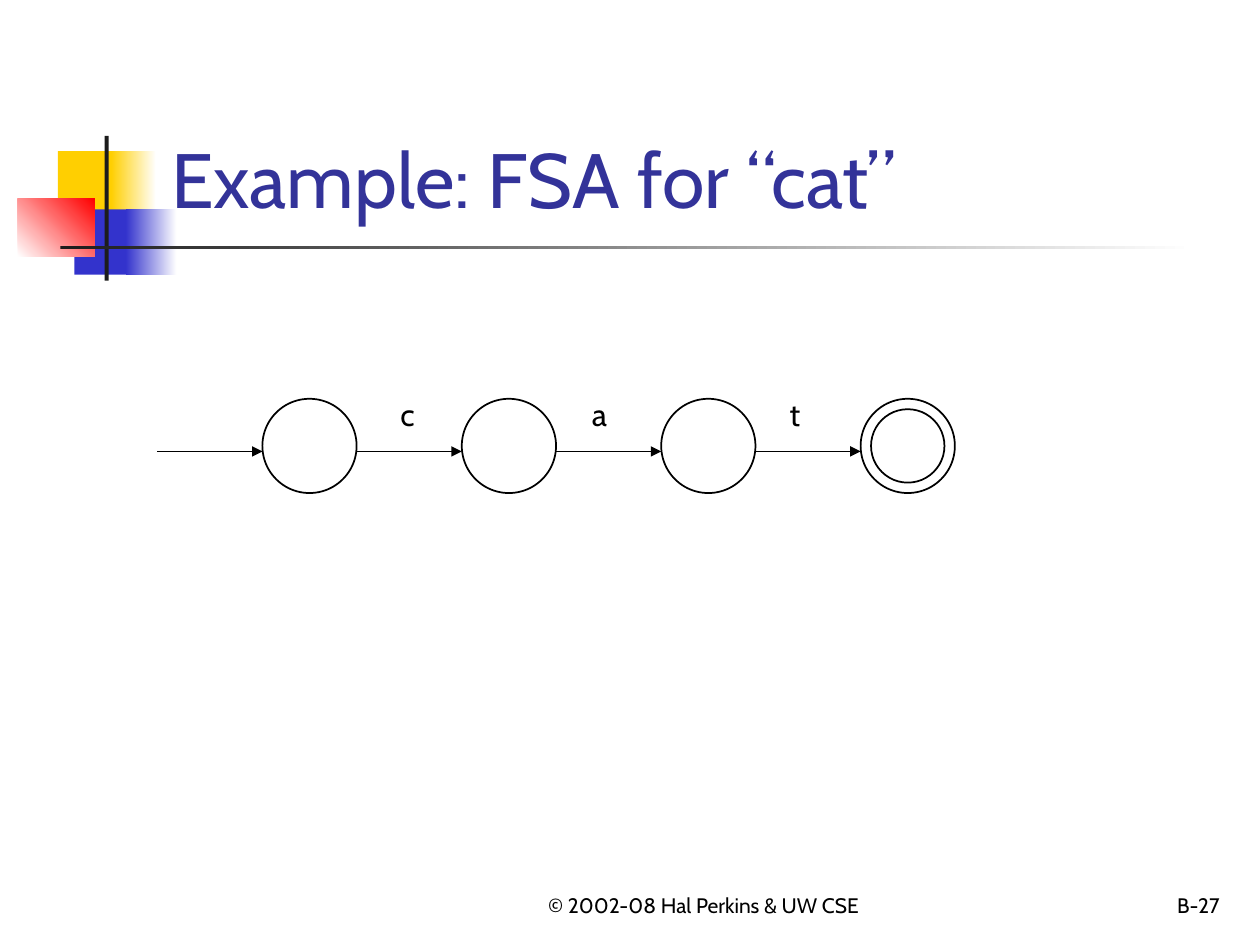
from lxml import etree
from pptx import Presentation
from pptx.dml.color import RGBColor
from pptx.enum.shapes import MSO_CONNECTOR, MSO_SHAPE
from pptx.enum.text import MSO_ANCHOR, MSO_AUTO_SIZE, PP_ALIGN
from pptx.oxml.ns import qn
from pptx.util import Cm, Pt

RECTANGLE, OVAL = MSO_SHAPE.RECTANGLE, MSO_SHAPE.OVAL
STRAIGHT = MSO_CONNECTOR.STRAIGHT
TOP, BOTTOM = MSO_ANCHOR.TOP, MSO_ANCHOR.BOTTOM
LEFT, CENTER, RIGHT = PP_ALIGN.LEFT, PP_ALIGN.CENTER, PP_ALIGN.RIGHT
FIT_SHAPE, FIXED = MSO_AUTO_SIZE.SHAPE_TO_FIT_TEXT, MSO_AUTO_SIZE.NONE

FONT = "Cabin"
COLORS = {
    "yellow": "FFCF01",
    "blue": "3333CC",
    "red": "FF0000",
    "white": "FFFFFF",
    "dark": "1C1C1C",
    "title": "333399",
    "black": "000000",
}
DECORATION = [
    ((1.17, 3.05, 1.22, 1.32), ["yellow"], 0),
    ((2.24, 3.05, 0.91, 1.32), ["yellow", "white"], 0),
    ((1.5, 4.22, 1.17, 1.32), ["blue"], 0),
    ((2.54, 4.22, 1.02, 1.32), ["blue", "white"], 0),
    ((0.36, 4.01, 1.55, 1.17), ["white", "red"], 45),
    ((2.11, 2.74, 0.08, 2.92), ["dark"], 0),
    ((1.22, 4.95, 22.86, 0.08), ["dark", "white"], 0),
]
STATE_LEFT, STATE_TOP, STATE_SIZE, STATE_PITCH = 5.29, 8.04, 1.9, 4.02
RING_GAP = 0.21
ARROW_Y = 9.1
LABEL_TOP, LABEL_HEIGHT = 7.83, 1.02
LABELS = [("c", 7.82, 0.81), ("a", 11.68, 0.86), ("t", 15.67, 0.74)]


def rgb(name):
    return RGBColor.from_string(COLORS[name])


def add_block(page, place, colors, angle):
    block = page.shapes.add_shape(RECTANGLE, *map(Cm, place))
    block.shadow.inherit = False
    block.line.fill.background()
    if len(colors) == 1:
        block.fill.solid()
        block.fill.fore_color.rgb = rgb(colors[0])
        return
    block.fill.gradient()
    block.fill.gradient_angle = angle
    for stop, color in zip(block.fill.gradient_stops, colors):
        stop.color.rgb = rgb(color)


def add_text(page, place, text, size, color="black", align=LEFT, anchor=BOTTOM, wrap=True):
    box = page.shapes.add_textbox(*map(Cm, place))
    frame_format = {
        "word_wrap": wrap,
        "vertical_anchor": anchor,
        "auto_size": FIXED if wrap else FIT_SHAPE,
    }
    for name, value in frame_format.items():
        setattr(box.text_frame, name, value)
    para = box.text_frame.paragraphs[0]
    para.alignment = align
    span = para.add_run()
    span.text = text
    for name, value in {"name": FONT, "size": Pt(size)}.items():
        setattr(span.font, name, value)
    span.font.color.rgb = rgb(color)


def add_circle(shapes, left, top, size):
    circle = shapes.add_shape(OVAL, Cm(left), Cm(top), Cm(size), Cm(size))
    circle.shadow.inherit = False
    circle.fill.background()
    circle.line.color.rgb = rgb("black")
    circle.line.width = Pt(1)


def add_accepting_state(page, left):
    group = page.shapes.add_group_shape()
    for gap in (0, RING_GAP):
        add_circle(group.shapes, left + gap, STATE_TOP + gap, STATE_SIZE - 2 * gap)


def add_arrow(page, start, end):
    arrow = page.shapes.add_connector(STRAIGHT, Cm(start), Cm(ARROW_Y), Cm(end), Cm(ARROW_Y))
    arrow.line.color.rgb = rgb("black")
    arrow.line.width = Pt(1)
    etree.SubElement(arrow.line._get_or_add_ln(), qn("a:tailEnd"), type="triangle")
    etree.SubElement(arrow._element.spPr, qn("a:effectLst"))


def add_automaton(page):
    lefts = [STATE_LEFT + index * STATE_PITCH for index in range(len(LABELS) + 1)]
    for left in lefts[:-1]:
        add_circle(page.shapes, left, STATE_TOP, STATE_SIZE)
    add_accepting_state(page, lefts[-1])
    for left in lefts:
        add_arrow(page, left - STATE_PITCH + STATE_SIZE, left)
    for letter, left, width in LABELS:
        place = (left, LABEL_TOP, width, LABEL_HEIGHT)
        add_text(page, place, letter, 18, anchor=TOP, wrap=False)


def main():
    deck = Presentation()
    deck.slide_width, deck.slide_height = Cm(25.4), Cm(19.05)
    page = deck.slides.add_slide(deck.slide_layouts[6])
    for place, colors, angle in DECORATION:
        add_block(page, place, colors, angle)
    add_text(page, (10.16, 17.35, 8.05, 1.27), "© 2002-08 Hal Perkins & UW CSE", 12, align=CENTER)
    add_text(page, (19.56, 17.35, 5.28, 1.27), "B-27", 12, align=RIGHT)
    add_text(page, (3.2, 0.58, 21.64, 4.06), "Example: FSA for “cat”", 44, "title")
    add_automaton(page)
    deck.save("out.pptx")


if __name__ == "__main__":
    main()
